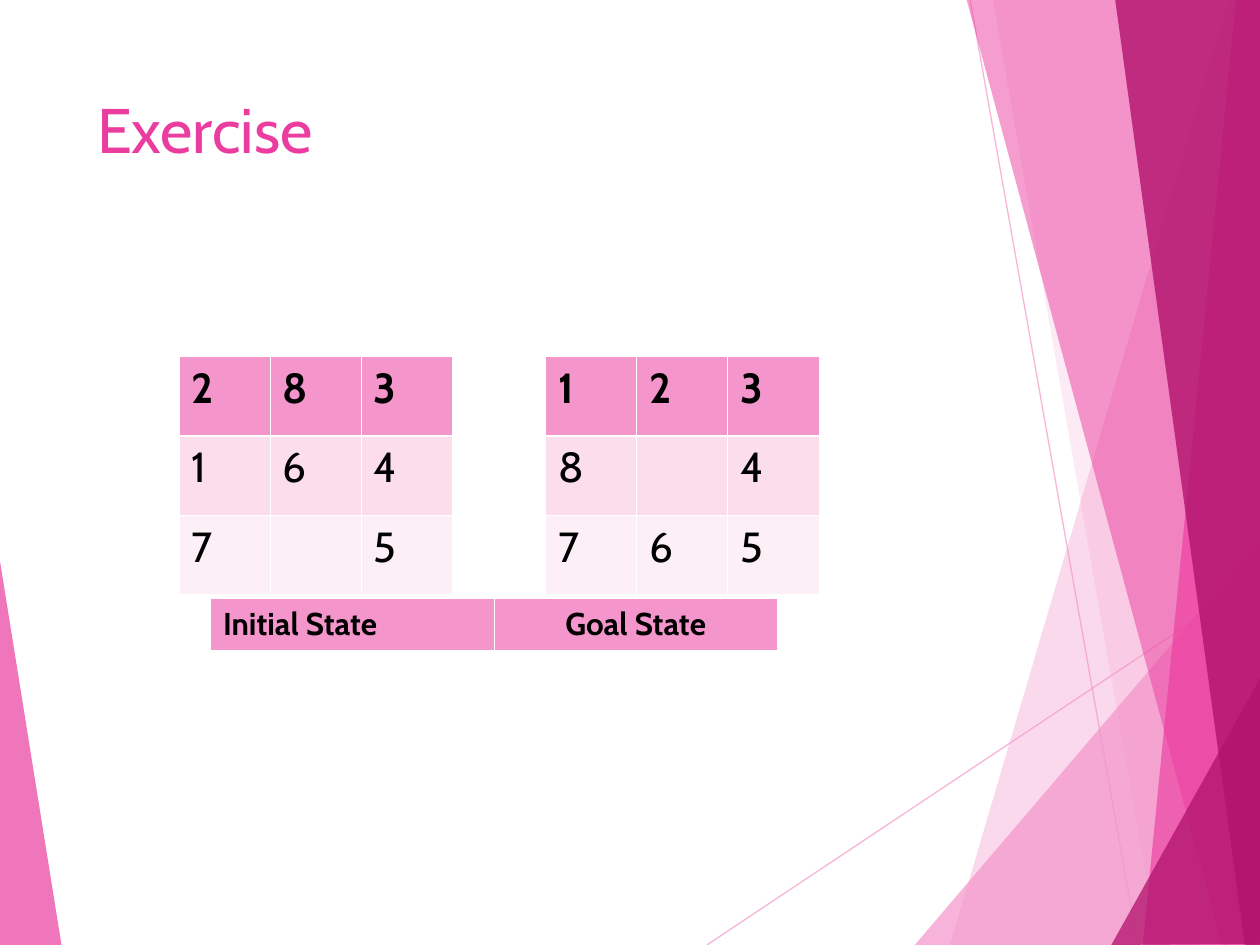
from dataclasses import dataclass

from pptx import Presentation
from pptx.dml.color import RGBColor
from pptx.enum.shapes import MSO_CONNECTOR
from pptx.enum.text import MSO_ANCHOR, PP_ALIGN
from pptx.oxml.ns import qn
from pptx.oxml.xmlchemy import OxmlElement
from pptx.util import Inches, Pt

WHITE = RGBColor(0xFF, 0xFF, 0xFF)
BLACK = RGBColor(0x00, 0x00, 0x00)
PINK = RGBColor(0xF4, 0x96, 0xCB)
ROSE = RGBColor(0xEB, 0x3D, 0x9F)
PLUM = RGBColor(0xB2, 0x13, 0x6D)
ROW_FILLS = (PINK, RGBColor(0xFB, 0xDD, 0xEC), RGBColor(0xFD, 0xEF, 0xF6))
FONT = "Cabin"
THIN, THICK = 0.45, 1.47
TILE_W, TILE_H = 2.17 / 3, 0.63
BOARD_TOP = 2.83


@dataclass
class Facet:
    points: tuple[tuple[float, float], ...]
    color: RGBColor
    opacity: int


@dataclass
class Grid:
    left: float
    top: float
    col_w: float
    row_h: float
    size: int
    rows: tuple[tuple[str, ...], ...]
    aligns: tuple[PP_ALIGN, ...]


RAYS = (((5.61, 7.5), (10.01, 4.57)), ((7.7, 0), (9.03, 7.5)))

FACETS = (
    Facet(((9.75, 0), (7.54, 7.5), (10.02, 7.51), (10.01, 0.01)), PINK, 36),
    Facet(((7.88, -0.01), (9.19, 7.5), (10.01, 7.5), (10.01, -0.01)), PINK, 20),
    Facet(((7.26, 7.5), (10, 4.29), (10.01, 7.5)), PINK, 72),
    Facet(((7.67, -0.01), (9.7, 7.5), (10.01, 7.49), (10.01, -0.01)), ROSE, 50),
    Facet(((9.81, -0.01), (9.07, 7.5), (10.01, 7.5), (10, -0.01)), ROSE, 66),
    Facet(((8.85, -0.01), (9.88, 7.5), (10.02, 7.5), (10, -0.01)), PLUM, 80),
    Facet(((8.82, 7.5), (10.02, 5.35), (10.02, 7.49)), PLUM, 76),
    Facet(((-0.01, 4.39), (0.49, 7.51), (-0.01, 7.5)), ROSE, 70),
)

LEFT3 = (PP_ALIGN.LEFT,) * 3
GRIDS = (
    Grid(1.42, BOARD_TOP, TILE_W, TILE_H, 24,
         (("2", "8", "3"), ("1", "6", "4"), ("7", "", "5")), LEFT3),
    Grid(4.33, BOARD_TOP, TILE_W, TILE_H, 24,
         (("1", "2", "3"), ("8", "", "4"), ("7", "6", "5")), LEFT3),
    Grid(1.67, 4.75, 2.25, 0.42, 18,
         (("Initial State", "Goal State"),), (PP_ALIGN.LEFT, PP_ALIGN.CENTER)),
)


def set_opacity(sp, percent: int) -> None:
    for clr in sp._element.spPr.iter(qn("a:srgbClr")):
        alpha = OxmlElement("a:alpha")
        alpha.set("val", str(percent * 1000))
        clr.append(alpha)


def add_ray(s, start: tuple[float, float], end: tuple[float, float]) -> None:
    sp = s.shapes.add_connector(MSO_CONNECTOR.STRAIGHT, *map(Inches, start + end))
    sp.line.color.rgb = PINK
    sp.line.width = Pt(0.75)
    set_opacity(sp, 70)
    sp._element.spPr.append(OxmlElement("a:effectLst"))


def add_facet(s, facet: Facet) -> None:
    first, *rest = [(x * 100, y * 100) for x, y in facet.points]
    builder = s.shapes.build_freeform(*first, scale=Inches(0.01))
    builder.add_line_segments(rest, close=True)
    sp = builder.convert_to_shape()
    sp.shadow.inherit = False
    sp.fill.solid()
    sp.fill.fore_color.rgb = facet.color
    sp.line.fill.background()
    set_opacity(sp, facet.opacity)


def add_run(p, text: str, size: int, color: RGBColor, bold: bool = False) -> None:
    r = p.add_run()
    r.text = text
    r.font.name = FONT
    r.font.size = Pt(size)
    r.font.bold = bold
    r.font.color.rgb = color


def add_border(cell, side: str, width: float) -> None:
    ln = OxmlElement(f"a:ln{side}")
    ln.set("w", str(Pt(width)))
    fill = OxmlElement("a:solidFill")
    clr = OxmlElement("a:srgbClr")
    clr.set("val", str(WHITE))
    fill.append(clr)
    ln.append(fill)
    cell._tc.get_or_add_tcPr().append(ln)


def add_grid(s, grid: Grid) -> None:
    n_rows, n_cols = len(grid.rows), len(grid.aligns)
    frame = s.shapes.add_table(
        n_rows, n_cols, Inches(grid.left), Inches(grid.top),
        Inches(grid.col_w * n_cols), Inches(grid.row_h * n_rows))
    table = frame.table
    table.horz_banding = False
    for col in table.columns:
        col.width = Inches(grid.col_w)
    for i, texts in enumerate(grid.rows):
        table.rows[i].height = Inches(grid.row_h)
        for j, text in enumerate(texts):
            cell = table.cell(i, j)
            for side in "LRTB":
                under_header = (i, side) in ((0, "B"), (1, "T"))
                add_border(cell, side, THICK if under_header else THIN)
            cell.fill.solid()
            cell.fill.fore_color.rgb = ROW_FILLS[i]
            if text:
                p = cell.text_frame.paragraphs[0]
                p.alignment = grid.aligns[j]
                add_run(p, text, grid.size, BLACK, bold=i == 0)


def set_title(s, text: str) -> None:
    sp = s.shapes.title
    sp.left, sp.top, sp.width, sp.height = map(Inches, (0.67, 0.67, 6.94, 1.44))
    tf = sp.text_frame
    tf.word_wrap = True
    tf.vertical_anchor = MSO_ANCHOR.TOP
    p = tf.paragraphs[0]
    p.alignment = PP_ALIGN.LEFT
    add_run(p, text, 36, ROSE)


def main() -> None:
    prs = Presentation()
    prs.slide_width, prs.slide_height = Inches(10), Inches(7.5)
    s = prs.slides.add_slide(prs.slide_layouts[5])
    for start, end in RAYS:
        add_ray(s, start, end)
    for facet in FACETS:
        add_facet(s, facet)
    set_title(s, "Exercise")
    for grid in GRIDS:
        add_grid(s, grid)
    prs.save("out.pptx")


if __name__ == "__main__":
    main()
